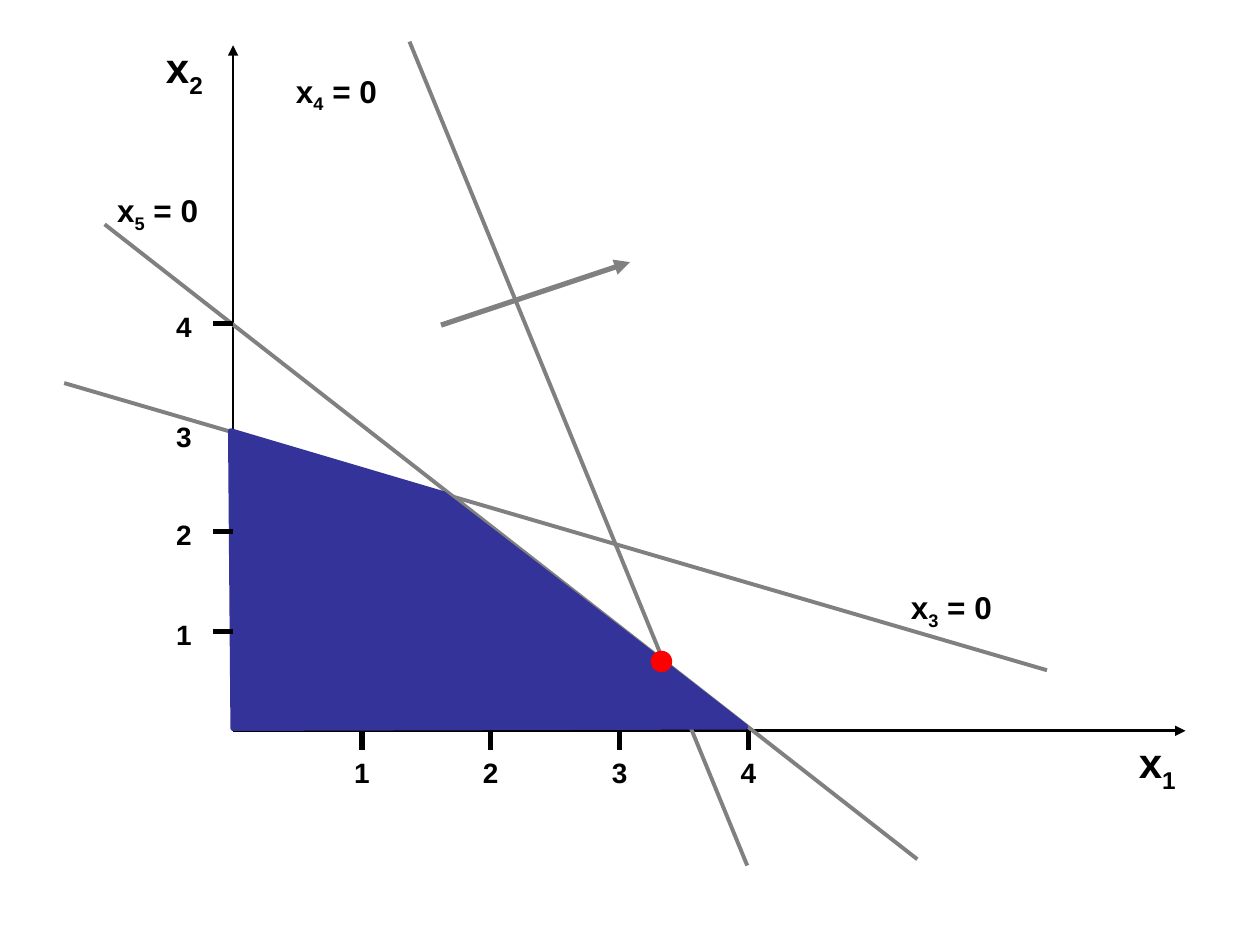
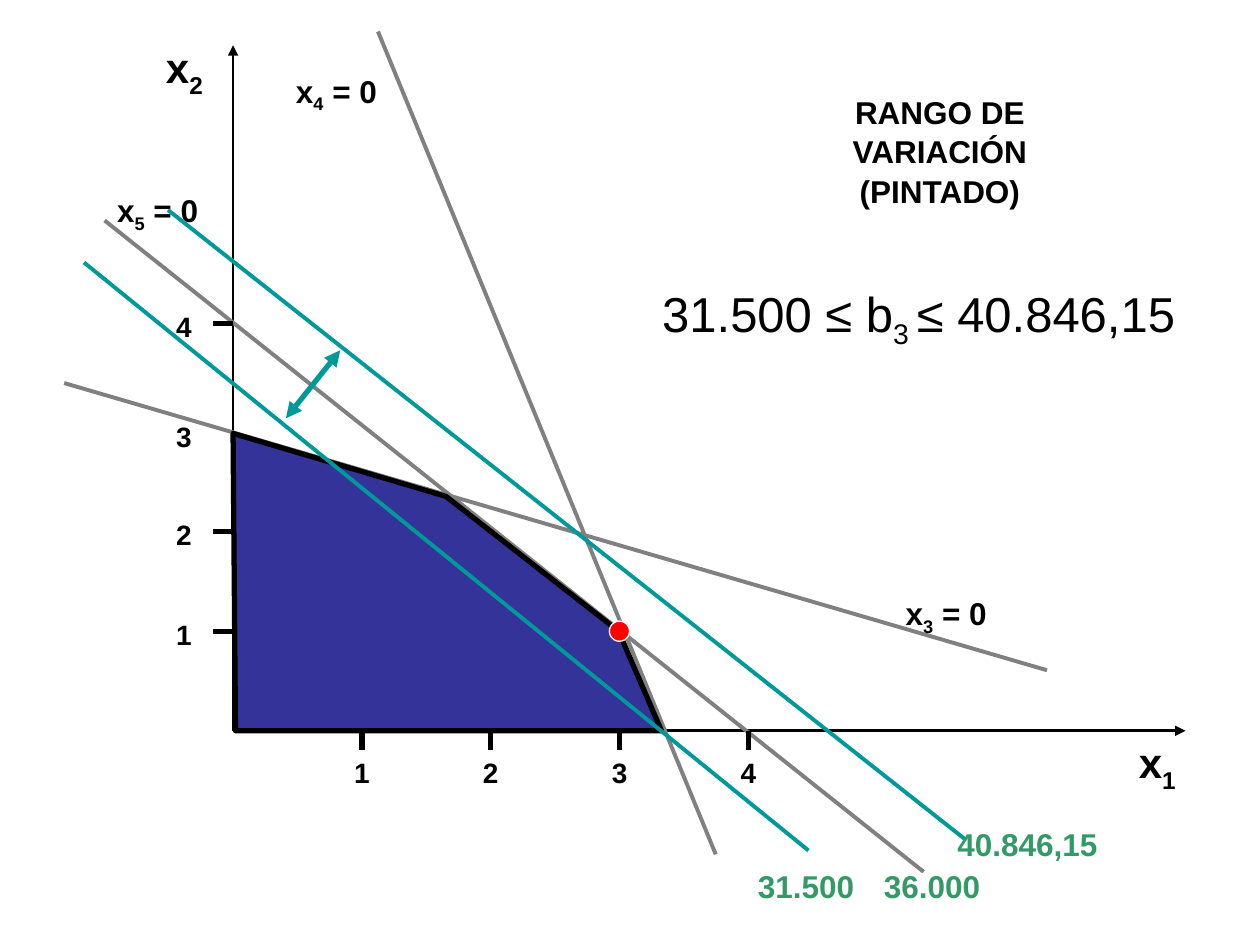
"""Builds two slides on a feasible region and the range of its third limit."""
from lxml import etree
from pptx import Presentation
from pptx.dml.color import RGBColor
from pptx.enum.shapes import MSO_CONNECTOR, MSO_SHAPE
from pptx.enum.text import MSO_ANCHOR, MSO_AUTO_SIZE, PP_ALIGN
from pptx.oxml.ns import qn
from pptx.util import Pt

STRAIGHT, OVAL = MSO_CONNECTOR.STRAIGHT, MSO_SHAPE.OVAL
TOP, MIDDLE = MSO_ANCHOR.TOP, MSO_ANCHOR.MIDDLE
LEFT, CENTER = PP_ALIGN.LEFT, PP_ALIGN.CENTER
FIXED = MSO_AUTO_SIZE.NONE

INK = {"black": "000000", "white": "FFFFFF", "gray": "808080", "blue": "333399",
       "red": "FF0000", "teal": "009999", "green": "339966"}
FONTS = {
    "axis": {"size": Pt(24), "bold": True},
    "tick": {"size": Pt(16), "bold": True},
    "label": {"size": Pt(18), "bold": True},
    "range": {"size": Pt(28), "bold": False},
}
ZERO_X, ZERO_Y, STEP = 133.2, 417.6, 73.6
ROWS = {1: 360.7, 2: 303.8, 3: 247.7, 4: 185}


class Deck:
    """Holds the style and the current slide."""

    def __init__(self):
        self.prs = Presentation()
        self.prs.slide_width, self.prs.slide_height = Pt(720), Pt(540)
        self.slide = None

    def page(self, layout):
        self.slide = self.prs.slides.add_slide(self.prs.slide_layouts[layout])

    def color(self, name):
        return RGBColor.from_string(INK[name])

    def line(self, start, end, ink="gray", width=2.25, ends=()):
        line = self.slide.shapes.add_connector(
            STRAIGHT, *(Pt(v) for v in (*start, *end)))
        line.line.color.rgb = self.color(ink)
        line.line.width = Pt(width)
        for tag in ends:
            etree.SubElement(line.line._get_or_add_ln(), qn(tag), type="triangle")
        etree.SubElement(line._element.spPr, qn("a:effectLst"))

    def paint(self, shape, fill, edge, width):
        shape.shadow.inherit = False
        shape.fill.solid()
        shape.fill.fore_color.rgb = self.color(fill)
        shape.line.color.rgb = self.color(edge)
        shape.line.width = Pt(width)

    def area(self, points, edge):
        first, *rest = [(Pt(x), Pt(y)) for x, y in points]
        form = self.slide.shapes.build_freeform(*first)
        form.add_line_segments(rest, close=True)
        self.paint(form.convert_to_shape(), "blue", edge, 3)

    def dot(self, x, y, edge, size=11.5):
        box = (x - size / 2, y - size / 2, size, size)
        shape = self.slide.shapes.add_shape(OVAL, *(Pt(v) for v in box))
        self.paint(shape, "red", edge, 0.75)

    def words(self, shape, parts, style, ink="black", align=LEFT, anchor=TOP, wrap=False):
        frame = shape.text_frame
        values = {"word_wrap": wrap, "auto_size": FIXED, "vertical_anchor": anchor}
        for key, value in values.items():
            setattr(frame, key, value)
        para = frame.paragraphs[0]
        para.alignment = align
        for i, part in enumerate(parts):
            run = para.add_run()
            run.text = part
            for key, value in {"name": "Arial", **FONTS[style]}.items():
                setattr(run.font, key, value)
            run.font.color.rgb = self.color(ink)
            if i % 2:
                run._r.get_or_add_rPr().set("baseline", "-25000")
        return para

    def text(self, box, parts, style, **look):
        shape = self.slide.shapes.add_textbox(*(Pt(v) for v in box))
        self.words(shape, parts, style, **look)

    def title(self, box, text):
        shape = self.slide.shapes.title
        for key, value in zip(("left", "top", "width", "height"), box):
            setattr(shape, key, Pt(value))
        para = self.words(shape, [text], "label", align=CENTER, wrap=True)
        para.line_spacing = 1.05

    def graph(self, limits, region, edge, tag):
        for end in ((ZERO_X, 25.9), (677.5, ZERO_Y)):
            self.line((ZERO_X, ZERO_Y), end, "black", 1.5, ["a:tailEnd"])
        for x, y, sub in ((87.8, 20.2, "2"), (643.7, ZERO_Y, "1")):
            self.text((x, y, 45.4, 40.3), ["x", sub], "axis", wrap=True)
        for start, end in limits:
            self.line(start, end)
        self.area(region, edge)
        for n, y in ROWS.items():
            x = ZERO_X + STEP * n
            self.line((x, 428.4), (x, ZERO_Y), "black", 3)
            self.text((x - 11.5, 428.4, 23, 26.6), [str(n)], "tick")
            if n != 3:
                self.line((121.7, y), (ZERO_X, y), "black", 3)
            self.text((93.6, y - 11.5, 23, 26.6), [str(n)], "tick")
        for sub, x, y in (("3", *tag), ("4", 162, 37.4), ("5", 59.8, 105.8)):
            self.text((x, y, 60.5, 31.7), ["x", sub, " = 0"], "label")


def main():
    deck = Deck()
    x3 = ((36.7, 218.9), (598.3, 383))

    deck.page(6)
    limits = [((59.8, 128.2), (524.2, 491)), x3, ((427, 494.6), (234, 23.8))]
    region = [(133.2, 416.2), (131.8, 246.2), (253.4, 282.2), (377.3, 377.3), (426.2, 415.4)]
    deck.graph(limits, region, "blue", (513.4, 332.6))
    deck.dot(378, 378, "red")
    deck.line((252, 185.8), (360, 149.8), width=3, ends=["a:tailEnd"])

    deck.page(5)
    deck.title((432, 48.2, 210.2, 72), "RANGO DE VARIACIÓN (PINTADO)")
    limits = [((59.8, 126), (527.8, 498.2)), x3, ((409, 488.2), (216, 18))]
    region = [(134.6, 417.6), (133.2, 247.7), (254.9, 283.7), (353.5, 360.7), (378, 417.6)]
    deck.graph(limits, region, "black", (510.5, 336.2))
    deck.dot(354, 360.7, "white")
    for start, end in (((552, 480), (96, 120)), ((462, 486), (48, 150))):
        deck.line(start, end, "teal")
    deck.line((163.4, 239), (194.4, 200.2), "teal", 3, ["a:headEnd", "a:tailEnd"])
    for x, y, width, value in ((540, 468, 94.3, "40.846,15"), (426, 492, 69.1, "31.500"),
                               (498, 492, 69.1, "36.000")):
        deck.text((x, y, width, 28.8), [value], "label", ink="green")
    deck.text((360, 113.8, 329.8, 134.6), ["31.500 ≤ b", "3 ", "≤ 40.846,15"], "range",
              align=CENTER, anchor=MIDDLE, wrap=True)

    deck.prs.save("out.pptx")


if __name__ == "__main__":
    main()
